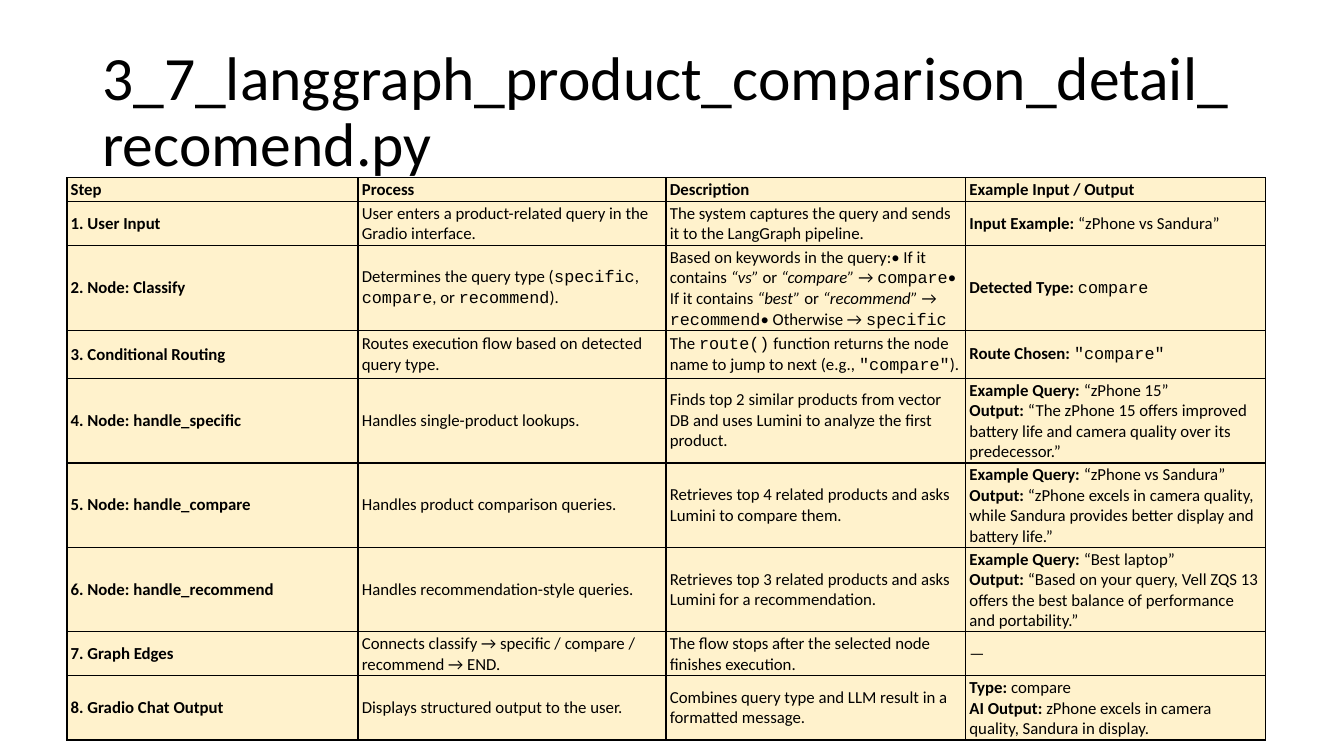
import pptx
import pptx.dml.color
import pptx.enum.text
import pptx.oxml
import pptx.oxml.ns
import pptx.util

Pt = pptx.util.Pt
MIDDLE = pptx.enum.text.MSO_ANCHOR.MIDDLE

COLORS = {"text": "000000", "border": "000000", "cell": "FFF2CC"}
FONTS = {"body": "Calibri", "code": "Courier New"}

TITLE = "3_7_langgraph_product_comparison_detail_recomend.py"
COLUMN_WIDTHS = [208, 220, 214, 214]
ROW_HEIGHTS = [10.8, 26.6, 58.3, 34.6, 50.4, 50.4, 50.4, 26.6, 34.6]

# Marks in the cell text: *bold*, ~italic~, `code`; a newline starts a paragraph
STEPS = [
    ["*Step*", "*Process*", "*Description*", "*Example Input / Output*"],
    ["*1. User Input*",
     "User enters a product-related query in the Gradio interface.",
     "The system captures the query and sends it to the LangGraph pipeline.",
     "*Input Example:* “zPhone vs Sandura”"],
    ["*2. Node: Classify*",
     "Determines the query type (`specific`, `compare`, or `recommend`).",
     "Based on keywords in the query:• If it contains ~“vs”~ or ~“compare”~ → `compare`"
     "• If it contains ~“best”~ or ~“recommend”~ → `recommend`• Otherwise → `specific`",
     "*Detected Type: *`compare`"],
    ["*3. Conditional Routing*",
     "Routes execution flow based on detected query type.",
     "The `route()` function returns the node name to jump to next (e.g., `\"compare\"`).",
     "*Route Chosen: *`\"compare\"`"],
    ["*4. Node: handle_specific*",
     "Handles single-product lookups.",
     "Finds top 2 similar products from vector DB and uses Lumini to analyze the first product.",
     "*Example Query:* “zPhone 15”\n*Output:* “The zPhone 15 offers improved battery life "
     "and camera quality over its predecessor.”"],
    ["*5. Node: handle_compare*",
     "Handles product comparison queries.",
     "Retrieves top 4 related products and asks Lumini to compare them.",
     "*Example Query:* “zPhone vs Sandura”\n*Output:* “zPhone excels in camera quality, "
     "while Sandura provides better display and battery life.”"],
    ["*6. Node: handle_recommend*",
     "Handles recommendation-style queries.",
     "Retrieves top 3 related products and asks Lumini for a recommendation.",
     "*Example Query:* “Best laptop”\n*Output:* “Based on your query, Vell ZQS 13 "
     "offers the best balance of performance and portability.”"],
    ["*7. Graph Edges*",
     "Connects classify → specific / compare / recommend → END.",
     "The flow stops after the selected node finishes execution.",
     "—"],
    ["*8. Gradio Chat Output*",
     "Displays structured output to the user.",
     "Combines query type and LLM result in a formatted message.",
     "*Type:* compare\n*AI Output:* zPhone excels in camera quality, Sandura in display."],
]


def rgb(name):
    return pptx.dml.color.RGBColor.from_string(COLORS[name])


def add_run(paragraph, text, size, mark=""):
    run = paragraph.add_run()
    run.text = text
    run.font.size = Pt(size)
    run.font.name = FONTS["code" if mark == "`" else "body"]
    run.font.bold = mark == "*"
    run.font.italic = mark == "~"
    run.font.color.rgb = rgb("text")


def add_marked_runs(paragraph, line, size):
    mark, piece = "", ""
    for letter in line:
        if letter not in "*~`":
            piece += letter
            continue
        if piece:
            add_run(paragraph, piece, size, mark)
        mark, piece = ("" if mark else letter), ""
    if piece:
        add_run(paragraph, piece, size, mark)


def add_title(slide, text):
    title = slide.shapes.add_textbox(Pt(66), Pt(28.75), Pt(828), Pt(104.4))
    frame = title.text_frame
    frame.word_wrap = True
    frame.vertical_anchor = MIDDLE
    frame.paragraphs[0].line_spacing = 0.9
    add_run(frame.paragraphs[0], text, 44)


def add_borders(cell):
    properties = cell._tc.get_or_add_tcPr()
    for position, side in enumerate(("lnL", "lnR", "lnT", "lnB")):
        properties.insert(position, pptx.oxml.parse_xml(
            f'<a:{side} {pptx.oxml.ns.nsdecls("a")} w="{Pt(1)}"><a:solidFill>'
            f'<a:srgbClr val="{COLORS["border"]}"/></a:solidFill></a:{side}>'))


def fill_cell(cell, text):
    cell.margin_left = cell.margin_right = Pt(2.7)
    cell.margin_top = cell.margin_bottom = Pt(1.35)
    cell.vertical_anchor = MIDDLE
    cell.fill.solid()
    cell.fill.fore_color.rgb = rgb("cell")
    add_borders(cell)
    frame = cell.text_frame
    for number, line in enumerate(text.split("\n")):
        paragraph = frame.add_paragraph() if number else frame.paragraphs[0]
        add_marked_runs(paragraph, line, 12)


def add_step_table(slide, steps):
    table = slide.shapes.add_table(
        len(steps), len(COLUMN_WIDTHS), Pt(47.8), Pt(126.9),
        Pt(sum(COLUMN_WIDTHS)), Pt(sum(ROW_HEIGHTS))).table
    table.first_row = table.horz_banding = False
    for column, width in zip(table.columns, COLUMN_WIDTHS):
        column.width = Pt(width)
    for row, height, step in zip(table.rows, ROW_HEIGHTS, steps):
        row.height = Pt(height)
        for cell, text in zip(row.cells, step):
            fill_cell(cell, text)


def main():
    deck = pptx.Presentation()
    deck.slide_width, deck.slide_height = Pt(960), Pt(540)
    slide = deck.slides.add_slide(deck.slide_layouts[6])
    add_title(slide, TITLE)
    add_step_table(slide, STEPS)
    deck.save("out.pptx")


if __name__ == "__main__":
    main()
